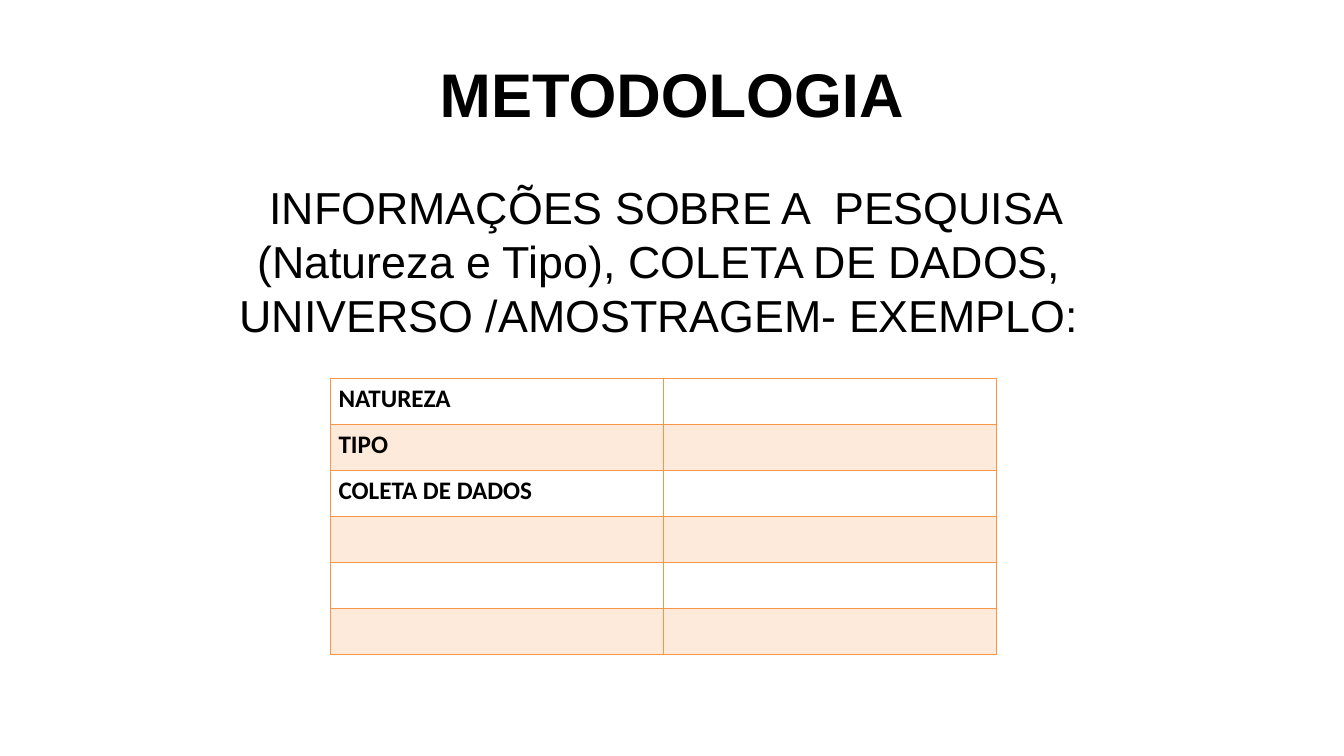
from dataclasses import dataclass

from lxml import etree
from pptx import Presentation
from pptx.dml.color import RGBColor
from pptx.enum.text import MSO_ANCHOR, MSO_AUTO_SIZE, PP_ALIGN
from pptx.oxml.ns import qn
from pptx.util import Inches, Pt

CENTER, LEFT = PP_ALIGN.CENTER, PP_ALIGN.LEFT
TOP, MIDDLE = MSO_ANCHOR.TOP, MSO_ANCHOR.MIDDLE
NO_AUTOFIT = MSO_AUTO_SIZE.NONE


@dataclass(frozen=True)
class Theme:
    ink: str = "000000"
    border: str = "F79646"
    band: str = "FDEADA"
    heading_font: str = "Arial"
    table_font: str = "Calibri"
    title_size: float = 44
    body_size: float = 32
    body_leading: float = 38.6
    table_size: float = 18
    thin_line: float = 0.45
    header_line: float = 0.96


def write_text(frame, text, *, font, size, color, bold=False,
               align=LEFT, anchor=TOP, leading=None):
    frame.word_wrap = True
    frame.vertical_anchor = anchor
    paragraph = frame.paragraphs[0]
    paragraph.alignment = align
    paragraph.space_before = Pt(0)
    if leading:
        paragraph.line_spacing = Pt(leading)
    properties = paragraph._p.get_or_add_pPr()
    properties.set("marL", "0")
    properties.set("indent", "0")
    etree.SubElement(properties, qn("a:buNone"))
    run = paragraph.add_run()
    run.text = text
    run.font.name = font
    run.font.size = Pt(size)
    run.font.bold = bold
    run.font.color.rgb = RGBColor.from_string(color)


def draw_border(cell, side, color, width):
    properties = cell._tc.get_or_add_tcPr()
    line = etree.SubElement(properties, qn(f"a:ln{side}"), w=str(Pt(width)))
    fill = etree.SubElement(line, qn("a:solidFill"))
    etree.SubElement(fill, qn("a:srgbClr"), val=color)


class SlideBuilder:
    def __init__(self, presentation, theme):
        self.theme = theme
        self.width = presentation.slide_width
        self.height = presentation.slide_height
        self.slide = presentation.slides.add_slide(presentation.slide_layouts[1])

    def area(self, left, top, width, height):
        return (round(self.width * left / 100), round(self.height * top / 100),
                round(self.width * width / 100), round(self.height * height / 100))

    def fill_placeholder(self, shape, text, area, **text_format):
        shape.left, shape.top, shape.width, shape.height = self.area(*area)
        shape.text_frame.auto_size = NO_AUTOFIT
        write_text(shape.text_frame, text, font=self.theme.heading_font,
                   color=self.theme.ink, align=CENTER, **text_format)

    def title(self, text, area):
        self.fill_placeholder(self.slide.shapes.title, text, area, bold=True,
                              size=self.theme.title_size, anchor=MIDDLE)

    def body(self, text, area):
        self.fill_placeholder(self.slide.placeholders[1], text, area,
                              size=self.theme.body_size,
                              leading=self.theme.body_leading)

    def table(self, labels, row_count, column_count, area):
        table = self.slide.shapes.add_table(
            row_count, column_count, *self.area(*area)).table
        table.first_row = table.horz_banding = False
        for row in range(row_count):
            for column in range(column_count):
                text = labels[row] if column == 0 and row < len(labels) else ""
                self.table_cell(table.cell(row, column), text, row)

    def table_cell(self, cell, text, row):
        theme = self.theme
        cell.margin_left = cell.margin_right = Inches(0.08)
        cell.margin_top = cell.margin_bottom = Inches(0.05)
        if text:
            write_text(cell.text_frame, text, font=theme.table_font,
                       size=theme.table_size, color=theme.ink, bold=True)
        header_sides = {0: "B", 1: "T"}
        for side in "LRTB":
            is_header_line = header_sides.get(row) == side
            draw_border(cell, side, theme.border,
                        theme.header_line if is_header_line else theme.thin_line)
        if row % 2:
            cell.fill.solid()
            cell.fill.fore_color.rgb = RGBColor.from_string(theme.band)
        else:
            cell.fill.background()


def main():
    presentation = Presentation()
    presentation.slide_width = Inches(13.34)
    presentation.slide_height = Inches(7.5)
    builder = SlideBuilder(presentation, Theme())
    builder.title("METODOLOGIA", (5, 4, 90, 16.67))
    builder.body(" INFORMAÇÕES SOBRE A  PESQUISA (Natureza e Tipo), COLETA DE DADOS, "
                 "UNIVERSO /AMOSTRAGEM- EXEMPLO:", (15.29, 23.07, 67.54, 66))
    builder.table(["NATUREZA", "TIPO", "COLETA DE DADOS"], 6, 2,
                  (24.59, 50, 49.55, 36.6))
    presentation.save("out.pptx")


if __name__ == "__main__":
    main()
